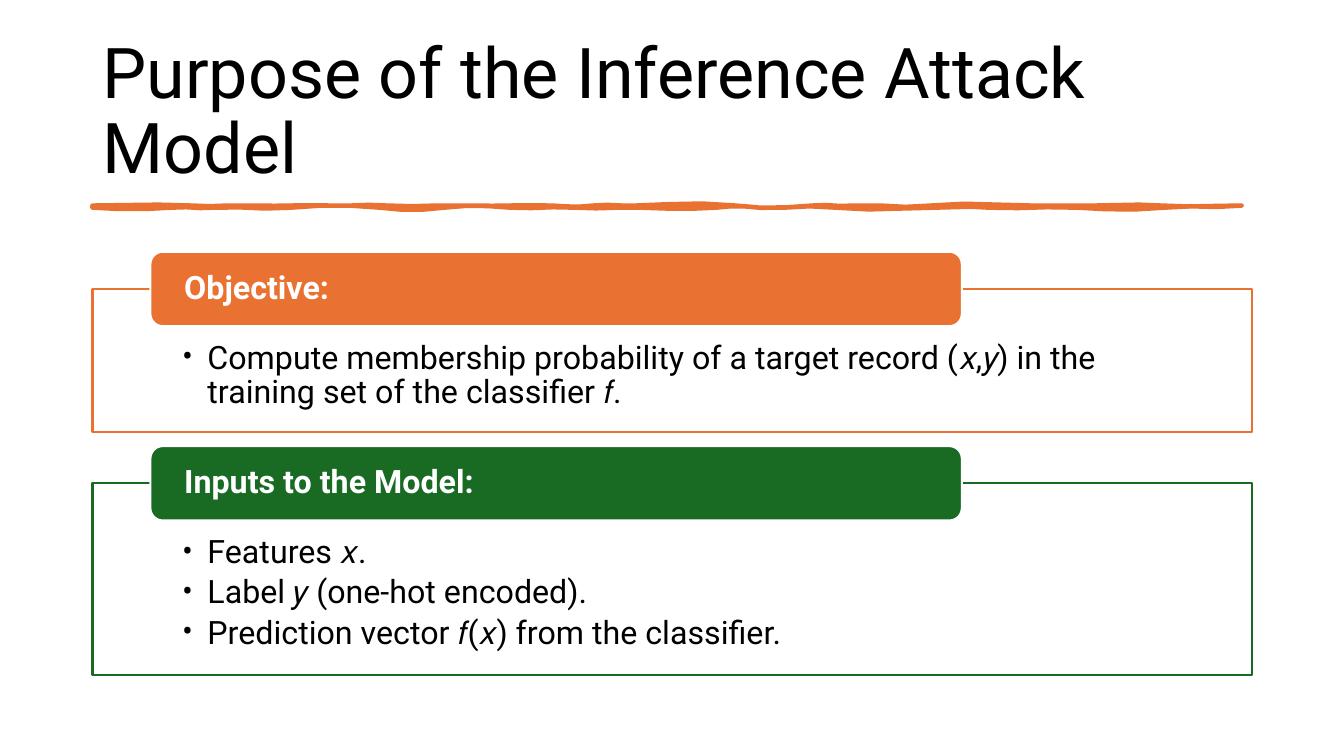
from lxml.etree import SubElement
from pptx import Presentation
from pptx.dml.color import RGBColor
from pptx.enum.shapes import MSO_SHAPE
from pptx.enum.text import MSO_ANCHOR, PP_ALIGN
from pptx.oxml.ns import qn
from pptx.util import Inches, Pt

WIDTH, HEIGHT = Inches(13.333), Inches(7.5)
COL, ROW = WIDTH / 100, HEIGHT / 100  # lengths are percent shares of the slide
LEFT, SPAN = 6.88, 86.25
INK = {"text": "000000", "paper": "FFFFFF", "orange": "E97132", "green": "196B24"}

# Hand-drawn rule: end of each wave in percent of its length, then its two
# pulls up or down in hundredths of an inch
UPPER = [
    (8.6, 0, -2), (13.33, 2, -1), (20.96, 1, -1), (25.61, 1, -2),
    (32.28, 2, -1), (40, 1, -1), (43.6, 1, 2), (47.28, -2, 1),
    (55.96, -1, -4), (62.63, 4, 2), (66.32, -2, 2), (72.98, -2, 4),
    (81.67, -4, 0), (87.28, 0, 0), (92.98, 0, -2), (100, 2, 0),
]
LOWER = [
    (93.33, 0, -3), (85.61, 3, 2), (77.98, -2, 2), (73.33, -2, 0),
    (64.65, 0, 4), (57.98, -4, 2), (54.3, -2, -2), (47.63, 2, 1),
    (41.93, -1, 2), (36.32, -2, 2), (30.61, -2, -3), (25, 3, 3),
    (17.28, -3, -3), (10.61, 3, -2), (6.93, 2, -2), (0, 2, 2),
]


def color(name):
    return RGBColor.from_string(INK[name])


def paint(shape, fill, line, width):
    shape.shadow.inherit = False
    shape.fill.solid()
    shape.fill.fore_color.rgb = color(fill)
    shape.line.color.rgb = color(line)
    shape.line.width = Pt(width)


def write(shape, lines, size=23, ink="text", bold=False, anchor=MSO_ANCHOR.TOP,
          inset=(0, 0, 0, 0), after=0, bullet=False):
    frame = shape.text_frame
    frame.word_wrap = True
    frame.vertical_anchor = anchor
    left, top, right, bottom = inset
    frame.margin_left, frame.margin_right = int(left * COL), int(right * COL)
    frame.margin_top, frame.margin_bottom = int(top * ROW), int(bottom * ROW)
    for i, line in enumerate(lines):
        para = frame.add_paragraph() if i else frame.paragraphs[0]
        para.alignment = PP_ALIGN.LEFT
        para.line_spacing = 0.9
        para.space_after = Pt(after)
        run = para.add_run()
        run.text = line
        run.font.name = "Roboto"
        run.font.size = Pt(size)
        run.font.bold = bold
        run.font.color.rgb = color(ink)
        if bullet:
            props = para._p.get_or_add_pPr()
            props.set("marL", str(Inches(0.25)))
            props.set("indent", str(-Inches(0.25)))
            SubElement(props, qn("a:buFont"), typeface="Roboto")
            SubElement(props, qn("a:buChar"), char="•")


def block(slide, kind, x, y, w, h):
    return slide.shapes.add_shape(
        kind, int(x * COL), int(y * ROW), int(w * COL), int(h * ROW))


def edge(start, waves, base, steps=3):
    """Points along a chain of cubic waves that return to the base height."""
    points = []
    for end, first, second in waves:
        for i in range(1, steps + 1):
            t = i / steps
            pull = 3 * t * (1 - t) * ((1 - t) * first + t * second)
            points.append((start + (end - start) * t, base + pull))
        start = end
    return points


def draw_rule(slide, y, length):
    points = edge(0, UPPER, 0) + edge(100, LOWER, 2)
    spots = [(int((LEFT + x * length / 100) * COL), int(y * ROW + Inches(dy / 100)))
             for x, dy in points]
    pen = slide.shapes.build_freeform(int(LEFT * COL), int(y * ROW))
    pen.add_line_segments(spots, close=True)
    paint(pen.convert_to_shape(), "orange", "orange", 3.25)


def add_panel(slide, y, h, hue, head, items):
    # Framed body
    body = block(slide, MSO_SHAPE.RECTANGLE, LEFT, y, SPAN, h)
    paint(body, "paper", hue, 1.5)
    tint = body._element.spPr.find(qn("a:solidFill"))[0]
    SubElement(tint, qn("a:alpha"), val="90000")
    write(body, items, inset=(6.68, 6.93, 6.68, 2.4), after=3.9, bullet=True)
    # Heading tab, centred on the top border
    tall = 9.84
    tab = block(slide, MSO_SHAPE.ROUNDED_RECTANGLE, 11.19, y - tall / 2, 60.38, tall)
    paint(tab, hue, "paper", 1.5)
    write(tab, [head], ink="paper", bold=True, anchor=MSO_ANCHOR.MIDDLE,
          inset=(2.25, 0, 2.25, 0))


def main():
    deck = Presentation()
    deck.slide_width, deck.slide_height = WIDTH, HEIGHT
    slide = deck.slides.add_slide(deck.slide_layouts[6])

    # Title
    title = slide.shapes.add_textbox(
        int(LEFT * COL), int(5.33 * ROW), int(SPAN * COL), int(19.33 * ROW))
    write(title, ["Purpose of the Inference Attack Model"], size=50,
          anchor=MSO_ANCHOR.MIDDLE, inset=(0.75, 0.67, 0.75, 0.67))
    draw_rule(slide, 27.2, 85.5)

    # Panels
    add_panel(slide, 38.22, 18.98, "orange", "Objective:", [
        "Compute membership probability of a target record (𝑥,𝑦) "
        "in the training set of the classifier 𝑓."])
    add_panel(slide, 63.93, 25.33, "green", "Inputs to the Model:", [
        "Features 𝑥.",
        "Label 𝑦 (one-hot encoded).",
        "Prediction vector 𝑓(𝑥) from the classifier."])

    deck.save("out.pptx")


if __name__ == "__main__":
    main()
